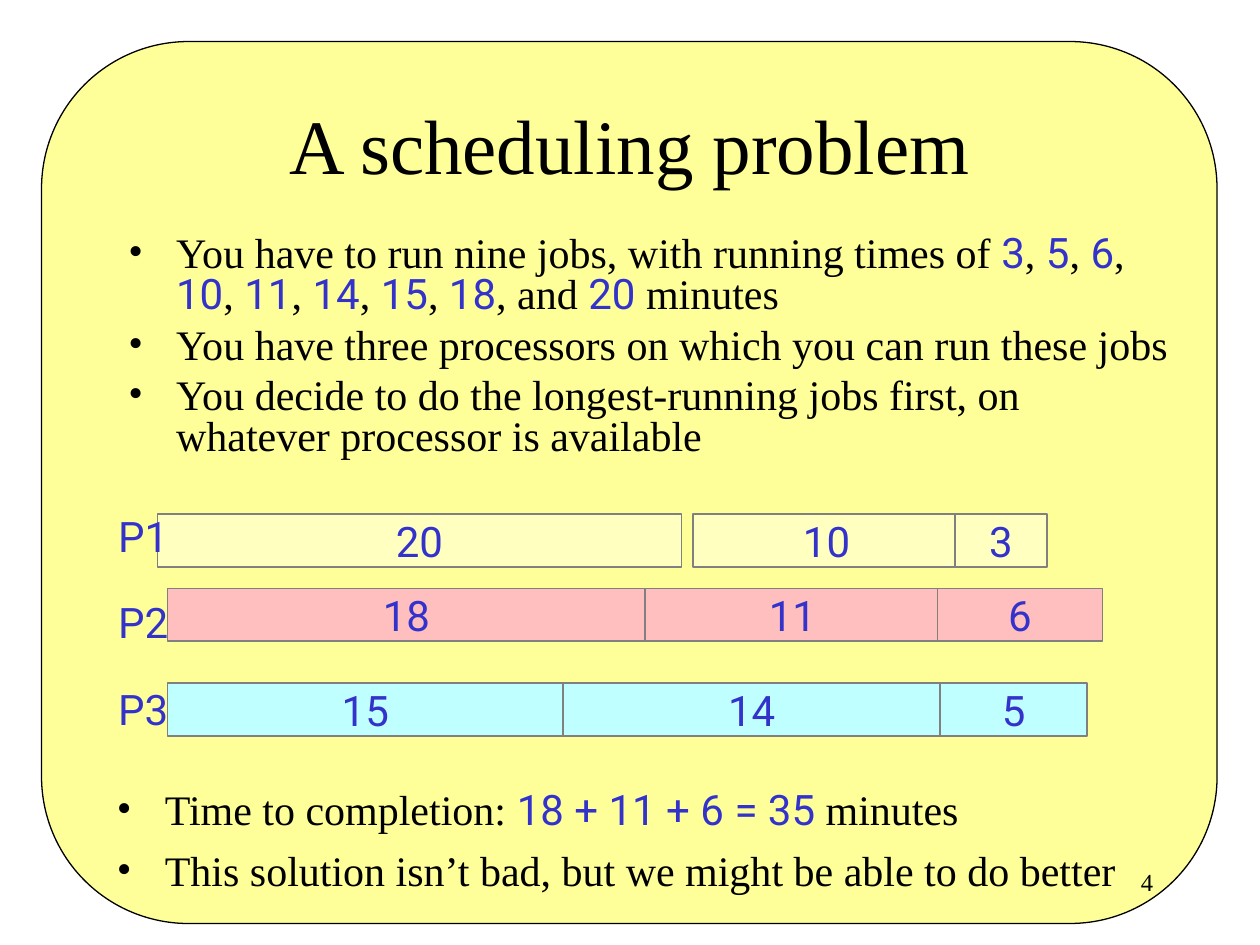
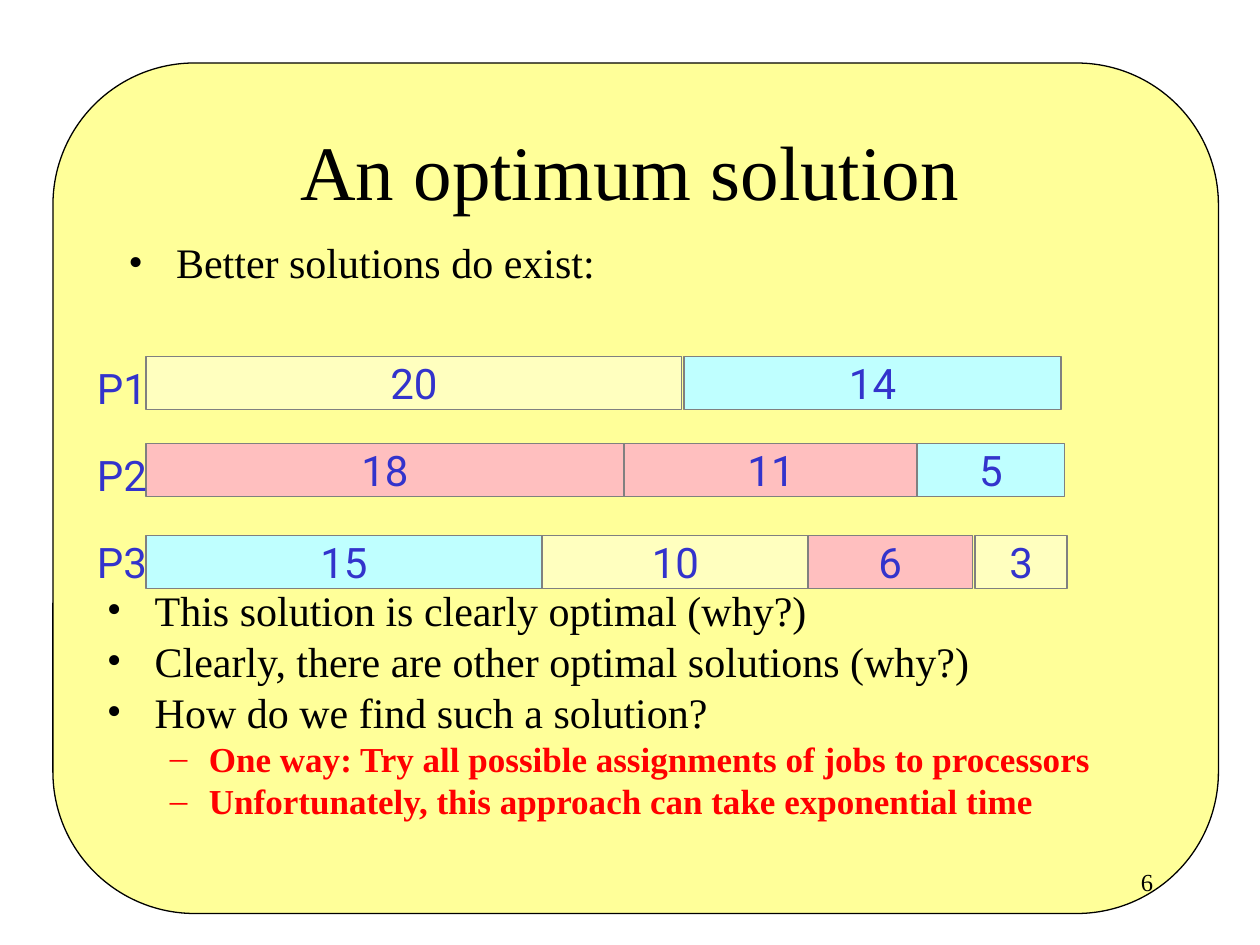
from dataclasses import dataclass

from lxml import etree
from pptx import Presentation
from pptx import util as u
from pptx.dml.color import RGBColor
from pptx.enum import shapes, text
from pptx.oxml.ns import qn


@dataclass(frozen=True)
class Theme:
    serif: str = "Times New Roman"
    sans: str = "Roboto"
    ink: str = "000000"
    blue: str = "3333CC"
    red: str = "FF0000"
    panel: str = "FFFF99"
    edge: str = "808080"
    yellow: str = "FFFFBF"
    pink: str = "FFBFBF"
    cyan: str = "BFFFFF"
    title: int = 44
    body: int = 24
    sub: int = 20
    number: int = 14


T = Theme()

JOB_WIDTHS = {20: 4.25, 18: 3.79, 15: 3.14, 14: 2.99, 11: 2.34, 10: 2.12, 6: 1.31, 5: 1.17, 3: 0.73}
JOB_COLOURS = {
    T.yellow: (20, 10, 3),
    T.pink: (18, 11, 6),
    T.cyan: (15, 14, 5),
}
COLOUR_OF = {job: colour for colour, jobs in JOB_COLOURS.items() for job in jobs}
PROCESSORS = ["P1", "P2", "P3"]
BAR_HEIGHT = 0.42
NUMBER_BOX = (7.17, 6.83, 2.08, 0.5)

# Text between bars is set in the sans face.
SLIDES = [
    {
        "title": "A scheduling problem",
        "title_box": (0.75, 0.78, 8.5, 0.72),
        "panel": (0.33, 0.33, 9.33, 7),
        "number": "4",
        "bodies": [
            {
                "box": (0.92, 1.83, 8.5, 2),
                "spacing": 0.8,
                "lines": [
                    (0, "You have to run nine jobs, with running times of |3|, |5|, |6|, |10|, "
                        "|11|, |14|, |15|, |18|, and |20| minutes"),
                    (0, "You have three processors on which you can run these jobs"),
                    (0, "You decide to do the longest-running jobs first, on whatever "
                        "processor is available"),
                ],
            },
            {
                "box": (0.83, 6.17, 8.42, 1.17),
                "spacing": 1,
                "lines": [
                    (0, "Time to completion: |18 + 11 + 6 = 35| minutes"),
                    (0, "This solution isn’t bad, but we might be able to do better"),
                ],
            },
        ],
        "widths": {20: 4.16},
        "schedule": [
            (4.08, {20: 1.25, 10: 5.5, 3: 7.58}),
            (4.67, {18: 1.33, 11: 5.12, 6: 7.44}),
            (5.42, {15: 1.33, 14: 4.47, 5: 7.46}),
        ],
        "labels_box": (0.84, 3.92, 0.66, 1.95),
    },
    {
        "title": "An optimum solution",
        "title_box": (0.75, 0.78, 8.5, 1.14),
        "panel": (0.42, 0.5, 9.25, 6.75),
        "number": "6",
        "bodies": [
            {
                "box": (0.75, 4.67, 8.5, 2),
                "spacing": 0.8,
                "lines": [
                    (0, "This solution is clearly optimal (why?)"),
                    (0, "Clearly, there are other optimal solutions (why?)"),
                    (0, "How do we find such a solution?"),
                    (1, "One way: Try all possible assignments of jobs to processors"),
                    (1, "Unfortunately, this approach can take exponential time"),
                ],
            },
            {
                "box": (0.92, 1.83, 8.5, 0.5),
                "spacing": 1,
                "lines": [(0, "Better solutions do exist:")],
            },
        ],
        "widths": {},
        "schedule": [
            (2.83, {20: 1.16, 14: 5.43}),
            (3.52, {18: 1.16, 11: 4.95, 5: 7.28}),
            (4.25, {15: 1.16, 10: 4.3, 6: 6.41, 3: 7.74}),
        ],
        "labels_box": (0.67, 2.75, 0.66, 1.95),
    },
]

LEVELS = [
    {"bullet": "•", "margin": 0.38, "hang": 0.38, "before": 6,
     "size": T.body, "colour": T.ink, "bold": False},
    {"bullet": "–", "margin": 0.81, "hang": 0.31, "before": 5,
     "size": T.sub, "colour": T.red, "bold": True},
]


def inches(box):
    return [u.Inches(v) for v in box]


def add_bullet(p, bullet, colour, margin, hang):
    pPr = p._p.get_or_add_pPr()
    pPr.set("marL", str(u.Inches(margin)))
    pPr.set("indent", str(-u.Inches(hang)))
    clr = etree.SubElement(pPr, qn("a:buClr"))
    etree.SubElement(clr, qn("a:srgbClr")).set("val", colour)
    etree.SubElement(pPr, qn("a:buFont")).set("typeface", T.serif)
    etree.SubElement(pPr, qn("a:buChar")).set("char", bullet)


def write(tf, content, *, size=T.body, font=T.serif, colour=T.ink, bold=False,
          align=text.PP_ALIGN.LEFT, line=None, before=0, level=0,
          bullet=None, margin=0, hang=0):
    p = tf.add_paragraph() if tf.text else tf.paragraphs[0]
    p.alignment, p.level = align, level
    p.line_spacing, p.space_before = line, u.Pt(before)
    if bullet:
        add_bullet(p, bullet, colour, margin, hang)
    for i, part in enumerate(content.split("|")):
        r = p.add_run()
        r.text = part
        r.font.size, r.font.bold = u.Pt(size), bold
        r.font.name = T.sans if i % 2 else font
        r.font.color.rgb = RGBColor.from_string(T.blue if i % 2 else colour)


def add_text_box(s, box):
    tf = s.shapes.add_textbox(*inches(box)).text_frame
    tf.word_wrap = True
    return tf


def add_block(s, kind, box, fill, line, width):
    sp = s.shapes.add_shape(kind, *inches(box))
    sp.shadow.inherit = False
    sp.fill.solid()
    sp.fill.fore_color.rgb = RGBColor.from_string(fill)
    sp.line.color.rgb = RGBColor.from_string(line)
    sp.line.width = u.Pt(width)
    return sp


def add_panel(s, box):
    sp = add_block(s, shapes.MSO_SHAPE.ROUNDED_RECTANGLE, box, T.panel, T.ink, 0.75)
    s.shapes._spTree.insert(2, sp._element)


def add_title(s, title, box):
    sp = s.shapes.title
    sp.left, sp.top, sp.width, sp.height = inches(box)
    tf = sp.text_frame
    tf.auto_size = text.MSO_AUTO_SIZE.NONE
    tf.vertical_anchor = text.MSO_ANCHOR.MIDDLE
    write(tf, title, size=T.title, align=text.PP_ALIGN.CENTER)


def add_body(s, body):
    tf = add_text_box(s, body["box"])
    for level, content in body["lines"]:
        write(tf, content, level=level, line=body["spacing"], **LEVELS[level])


def add_schedule(s, schedule, widths, labels_box):
    for top, lefts in schedule:
        for job, left in lefts.items():
            bar = add_block(s, shapes.MSO_SHAPE.RECTANGLE, (left, top, widths[job], BAR_HEIGHT),
                            COLOUR_OF[job], T.edge, 1)
            tf = bar.text_frame
            tf.word_wrap = False
            tf.vertical_anchor = text.MSO_ANCHOR.MIDDLE
            write(tf, str(job), font=T.sans, colour=T.blue, align=text.PP_ALIGN.CENTER)
    tf = add_text_box(s, labels_box)
    for name in PROCESSORS:
        write(tf, name, font=T.sans, colour=T.blue, line=1.2, before=15)


def main():
    prs = Presentation()
    prs.slide_width, prs.slide_height = inches((10, 7.5))
    for data in SLIDES:
        s = prs.slides.add_slide(prs.slide_layouts[5])
        add_panel(s, data["panel"])
        add_title(s, data["title"], data["title_box"])
        for body in data["bodies"]:
            add_body(s, body)
        add_schedule(s, data["schedule"], JOB_WIDTHS | data["widths"], data["labels_box"])
        write(add_text_box(s, NUMBER_BOX), data["number"], size=T.number,
              align=text.PP_ALIGN.RIGHT)
    prs.save("out.pptx")


if __name__ == "__main__":
    main()
